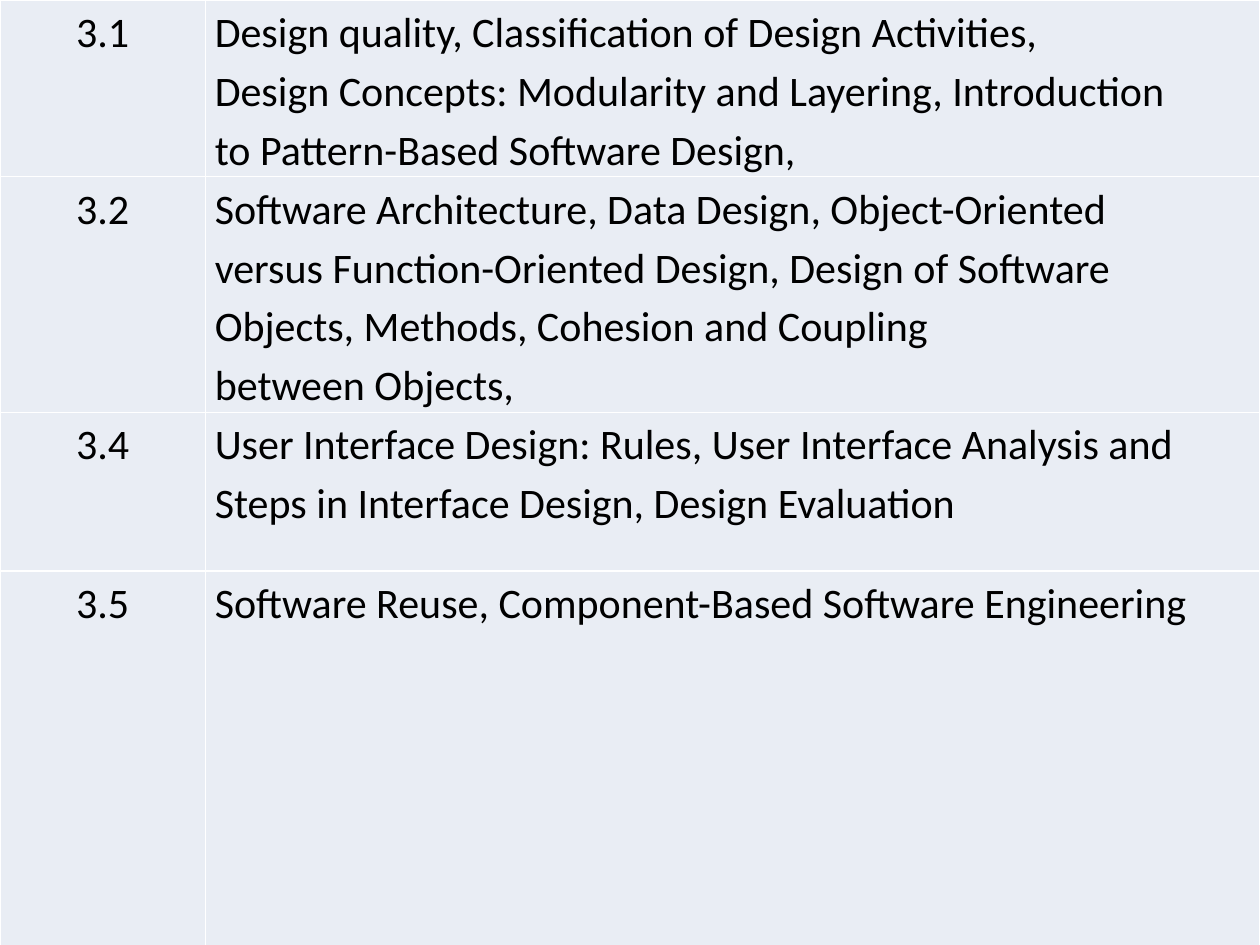
import pptx
import pptx.dml.color
import pptx.enum.text
import pptx.oxml
import pptx.oxml.ns
import pptx.util
from pptx.util import Cm

TOPICS = [
    ("3.1", ["Design quality, Classification of Design Activities,",
             "Design Concepts: Modularity and Layering, Introduction",
             "to Pattern-Based Software Design,"]),
    ("3.2", ["Software Architecture, Data Design, Object-Oriented",
             "versus Function-Oriented Design, Design of Software",
             "Objects, Methods, Cohesion and Coupling",
             "between Objects,"]),
    ("3.4", ["User Interface Design: Rules, User Interface Analysis and "
             "Steps in Interface Design, Design Evaluation"]),
    ("3.5", ["Software Reuse, Component-Based Software Engineering"]),
]
COLUMN_WIDTHS = [4.14, 21.26]
ROW_HEIGHTS = [3.2, 3.2, 3.2, 9.45]


def colour(value):
    """Return the colour for a hex string."""
    return pptx.dml.color.RGBColor.from_string(value)


def add_borders(cell, value, points):
    """Draw a solid line on all four sides of a cell."""
    properties = cell._tc.get_or_add_tcPr()
    for index, side in enumerate(("lnL", "lnR", "lnT", "lnB")):
        line = pptx.oxml.parse_xml(
            f'<a:{side} {pptx.oxml.ns.nsdecls("a")} w="{pptx.util.Pt(points)}">'
            f'<a:solidFill><a:srgbClr val="{value}"/></a:solidFill></a:{side}>')
        properties.insert(index, line)


def fill_cell(cell, lines, alignment):
    """Format a cell and write one paragraph for each line."""
    cell.fill.solid()
    cell.fill.fore_color.rgb = colour("E9EDF4")
    add_borders(cell, "FFFFFF", 1)
    cell.margin_left = cell.margin_right = Cm(0.19)
    cell.margin_top = cell.margin_bottom = 0
    frame = cell.text_frame
    for index, line in enumerate(lines):
        para = frame.add_paragraph() if index else frame.paragraphs[0]
        para.alignment = alignment
        para.line_spacing = 1.15
        span = para.add_run()
        span.text = line
        span.font.name = "Calibri"
        span.font.size = pptx.util.Pt(24)
        span.font.color.rgb = colour("000000")


def add_topic_table(page):
    """Add the table of numbered topics."""
    frame = page.shapes.add_table(len(TOPICS), 2, 0, 0, Cm(25.4), Cm(20.7))
    table = frame.table
    table.first_row = table.horz_banding = False
    for column, width in zip(table.columns, COLUMN_WIDTHS):
        column.width = Cm(width)
    for row, height, (number, lines) in zip(table.rows, ROW_HEIGHTS, TOPICS):
        row.height = Cm(height)
        fill_cell(row.cells[0], [number], pptx.enum.text.PP_ALIGN.CENTER)
        fill_cell(row.cells[1], lines, pptx.enum.text.PP_ALIGN.LEFT)
    frame.height = Cm(20.7)


def main():
    """Build the slide and save the deck."""
    deck = pptx.Presentation()
    deck.slide_width, deck.slide_height = Cm(25.4), Cm(19.05)
    page = deck.slides.add_slide(deck.slide_layouts[6])
    add_topic_table(page)
    deck.save("out.pptx")


if __name__ == "__main__":
    main()
